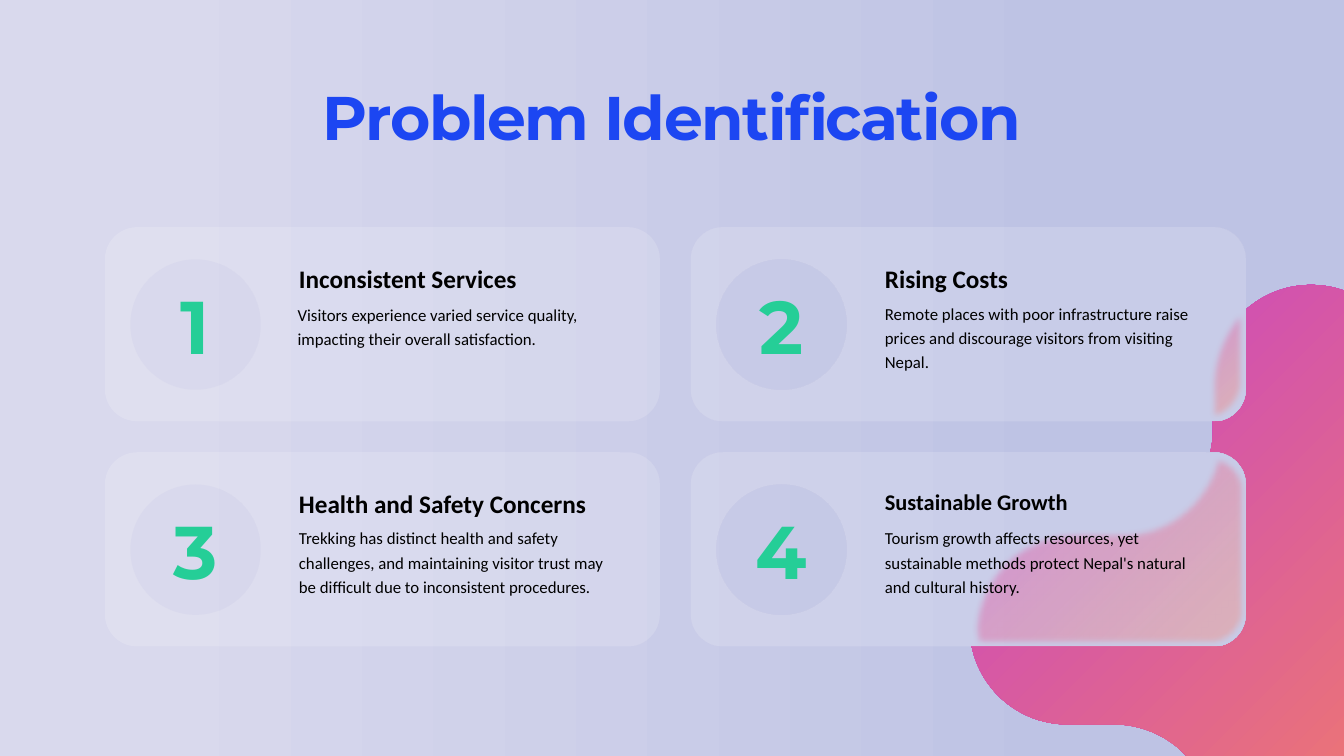
from math import cos, pi, sin

from lxml import etree
from pptx import Presentation
from pptx.dml.color import RGBColor
from pptx.enum.shapes import MSO_SHAPE
from pptx.enum.text import MSO_ANCHOR, PP_ALIGN
from pptx.oxml.ns import qn
from pptx.util import Inches, Pt

ROUNDED, OVAL = MSO_SHAPE.ROUNDED_RECTANGLE, MSO_SHAPE.OVAL
TOP, MIDDLE = MSO_ANCHOR.TOP, MSO_ANCHOR.MIDDLE
CENTER = PP_ALIGN.CENTER
TITLE_ONLY = 5
PALE, DEEP = "D9D9ED", "BEC3E4"
MAGENTA, ORANGE = "C13CD5", "F98657"
BLUE, GREEN, BLACK, WHITE = "1C46F2", "25CE97", "000000", "FFFFFF"
CARD_WIDTH, CARD_HEIGHT = 8.26, 2.89
COLUMNS, ROWS = (1.56, 10.28), (3.38, 6.73)
CARDS = [
    ("Inconsistent Services", 27, (2.79, 0.49, 5, 0.55),
     "Visitors experience varied service quality, impacting their overall satisfaction.",
     (2.77, 1.05, 5, 0.83)),
    ("Rising Costs", 27, (2.79, 0.49, 4.49, 0.55),
     "Remote places with poor infrastructure raise prices and discourage visitors "
     "from visiting Nepal.",
     (2.79, 1.03, 5, 1.19)),
    ("Health and Safety Concerns", 27, (2.79, 0.49, 5.41, 0.55),
     "Trekking has distinct health and safety challenges, and maintaining visitor "
     "trust may be difficult due to inconsistent procedures.",
     (2.79, 1.02, 5, 1.55)),
    ("Sustainable Growth", 24, (2.79, 0.49, 5, 0.5),
     "Tourism growth affects resources, yet sustainable methods protect Nepal's "
     "natural and cultural history.",
     (2.79, 1.02, 5, 1.19)),
]
BLOB_BOX = (15.49, 5.3, 8.04, 8.04)
LOBE = [
    (0.81, -5.08, 1.46, -4.43, 1.46, -3.62), (1.46, -2.92),
    (1.46, -2.12, 2.12, -1.46, 2.93, -1.46), (3.62, -1.46),
    (4.43, -1.46, 5.08, -0.81, 5.08, 0),
]
GLASS = {
    2: ((17.77, 4.56, 1.12, 1.73), [
        (18.55, 4.42), (18.55, 5.77), (18.55, 6.07, 18.31, 6.31, 18.01, 6.31),
        (17.99, 6.31), (17.99, 5.67), (17.99, 5.21, 18.18, 4.79, 18.48, 4.49)]),
    4: ((15.19, 6.32, 3.35, 4.73), [
        (18.03, 6.75), (18.08, 6.75), (18.34, 6.75, 18.56, 6.96, 18.56, 7.23),
        (18.56, 9.16), (18.56, 9.42, 18.34, 9.64, 18.08, 9.64), (14.48, 9.64),
        (14.48, 9.63), (14.46, 9.54, 14.45, 9.44, 14.45, 9.34),
        (14.45, 8.53, 15.1, 7.88, 15.91, 7.88), (16.6, 7.88),
        (17.26, 7.88, 17.81, 7.44, 18, 6.85)]),
}


def color(value):
    """Turn a hex string into a colour."""
    return RGBColor.from_string(value)


def fill_gradient(fill, stops):
    """Fill with a left to right gradient of two (position, hex) stops."""
    fill.gradient()
    fill.gradient_angle = 0
    for stop, (position, value) in zip(fill.gradient_stops, stops):
        stop.position = position
        stop.color.rgb = color(value)


def set_opacity(shape, *percents):
    """Give the fill colours of a shape their opacity, in order."""
    for node, percent in zip(shape._element.iter(qn("a:srgbClr")), percents):
        etree.SubElement(node, qn("a:alpha"), val=str(percent * 1000))


def make_plain(shape):
    """Remove the line and shadow of a shape."""
    shape.shadow.inherit = False
    shape.line.fill.background()
    return shape


def add_backing(shapes, kind, box):
    """Add a preset shape filled with the page background."""
    shape = make_plain(shapes.add_shape(kind, *map(Inches, box)))
    shape._element.set("useBgFill", "1")
    return shape


def pairs_of(step):
    """Split a step into its points."""
    return list(zip(step[::2], step[1::2]))


def draw_steps(shape, box, steps):
    """Give a freeform its lines and curves, turned back by 45 degrees in its box."""
    left, top, width, height = box
    turn = cos(pi / 4), sin(pi / 4)
    outline = next(shape._element.iter(qn("a:path")))
    for child in list(outline):
        outline.remove(child)
    for index, step in enumerate(steps):
        tag = "a:cubicBezTo" if len(step) == 6 else "a:lnTo" if index else "a:moveTo"
        node = etree.SubElement(outline, qn(tag))
        for x, y in pairs_of(step):
            across, down = x - left - width / 2, y - top - height / 2
            local_x = across * turn[0] + down * turn[1] + width / 2
            local_y = down * turn[0] - across * turn[1] + height / 2
            etree.SubElement(node, qn("a:pt"),
                             x=str(Inches(local_x)), y=str(Inches(local_y)))
    etree.SubElement(outline, qn("a:close"))


def add_outline(shapes, box, steps):
    """Add a curved outline, turned by 45 degrees, with a radial gradient."""
    left, top, width, height = map(Inches, box)
    builder = shapes.build_freeform(left, top)
    builder.add_line_segments([(left + width, top), (left + width, top + height)])
    shape = make_plain(builder.convert_to_shape())
    draw_steps(shape, box, steps)
    shape.rotation = 45
    fill_gradient(shape.fill, [(0.17, ORANGE), (1, MAGENTA)])
    linear = next(shape._element.iter(qn("a:lin")))
    radial = etree.Element(qn("a:path"), {"path": "circle"})
    etree.SubElement(radial, qn("a:fillToRect"), l="100000", t="100000")
    linear.getparent().replace(linear, radial)
    return shape


def add_blob(page, box):
    """Draw the four-lobed blob around the centre of its box."""
    left, top, width, height = box
    center_x, center_y = left + width / 2, top + height / 2
    quarter, steps = LOBE, [(0, -5.08)]
    for _ in range(4):
        steps += quarter
        quarter = [sum(((-y, x) for x, y in pairs_of(step)), ()) for step in quarter]
    add_outline(page.shapes, box, [
        sum(((center_x + x, center_y + y) for x, y in pairs_of(step)), ())
        for step in steps])


def add_glass(shapes, box, steps):
    """Draw the blurred part of the blob seen through a card."""
    shape = add_outline(shapes, box, steps)
    set_opacity(shape, 42, 63)
    effects = shape._element.spPr.find(qn("a:effectLst"))
    etree.SubElement(effects, qn("a:softEdge"), rad=str(Pt(7)))


def write(shape, text, font, size, value, bold=False):
    """Put one paragraph into a shape and return it."""
    shape.text_frame.word_wrap = True
    para = shape.text_frame.paragraphs[0]
    para.text = text
    para.font.name, para.font.size, para.font.bold = font, Pt(size), bold
    para.font.color.rgb = color(value)
    return para


def add_title(page, box):
    """Place and format the slide title."""
    title = page.shapes.title
    title.left, title.top, title.width, title.height = map(Inches, box)
    title.text_frame.vertical_anchor = TOP
    para = write(title, "Problem Identification", "Montserrat", 66, BLUE, True)
    para.alignment = CENTER
    para.runs[0].font._element.set("spc", "-150")


def add_card(page, box, number, heading, size, heading_box, body, body_box):
    """Draw one numbered card in its box."""
    left, top = box[:2]
    panel = page.shapes.add_group_shape().shapes
    add_backing(panel, ROUNDED, box)
    if number in GLASS:
        add_glass(panel, *GLASS[number])
    sheen = make_plain(panel.add_shape(ROUNDED, *map(Inches, box)))
    sheen.fill.solid()
    sheen.fill.fore_color.rgb = color(WHITE)
    set_opacity(sheen, 16)
    label, detail = [
        page.shapes.add_textbox(*map(Inches, (left + x, top + y, width, height)))
        for x, y, width, height in (heading_box, body_box)]
    write(label, heading, "Calibri", size, BLACK, True)
    write(detail, body, "Calibri", 18, BLACK).line_spacing = 1.2
    badge = add_backing(page.shapes, OVAL, (left + 0.38, top + 0.48, 1.94, 1.94))
    badge.text_frame.vertical_anchor = MIDDLE
    write(badge, str(number), "Montserrat", 80, GREEN, True).alignment = CENTER


def main():
    """Build the deck and save it."""
    deck = Presentation()
    deck.slide_width, deck.slide_height = Inches(20), Inches(11.25)
    page = deck.slides.add_slide(deck.slide_layouts[TITLE_ONLY])
    fill_gradient(page.background.fill, [(0.11, PALE), (0.8, DEEP)])
    add_blob(page, BLOB_BOX)
    add_title(page, (2.54, 1.12, 14.92, 1.21))
    for index, card in enumerate(CARDS):
        row, column = divmod(index, 2)
        box = (COLUMNS[column], ROWS[row], CARD_WIDTH, CARD_HEIGHT)
        add_card(page, box, index + 1, *card)
    deck.save("out.pptx")


if __name__ == "__main__":
    main()
